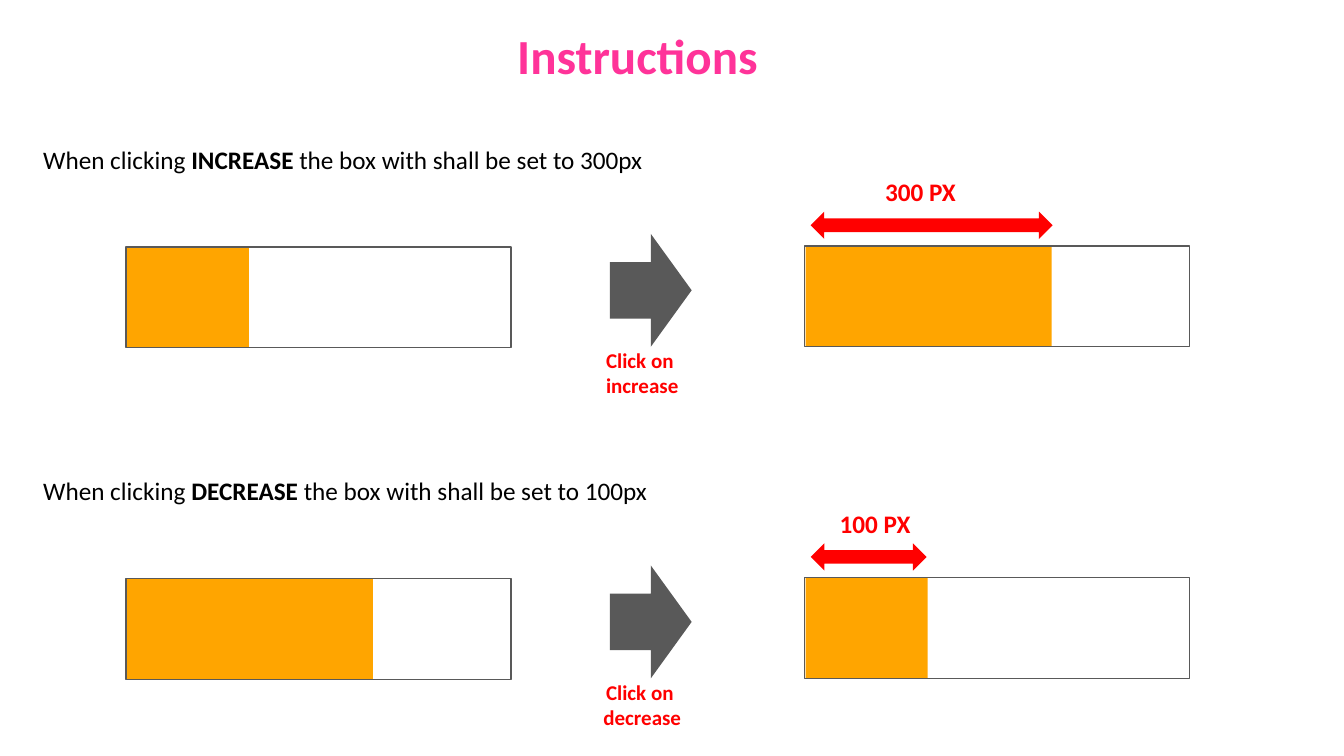
import pptx
import pptx.dml.color
import pptx.enum.shapes
import pptx.enum.text
import pptx.util

Inches = pptx.util.Inches
SHAPE = pptx.enum.shapes.MSO_SHAPE
ALIGN = pptx.enum.text.PP_ALIGN
ANCHOR = pptx.enum.text.MSO_ANCHOR

PINK, RED, ORANGE, GRAY, BLACK = "FF3399", "FF0000", "FFA500", "595959", "000000"
TITLE = "Instructions"
# Box widths are in inches; label_left is the left edge of the pixel label.
STEPS = [
    dict(sentence=[("When clicking ", False), ("INCREASE", True),
                   (" the box with shall be set to 300px", False)],
         click=["Click on ", "increase"], before=1.21, after=2.44,
         size="300 PX", span=2.4, label_left=8.68),
    dict(sentence=[("When clicking ", False), ("DECREASE ", True),
                   ("the box with shall be set to 100px", False)],
         click=["Click on ", "decrease"], before=2.44, after=1.21,
         size="100 PX", span=1.15, label_left=8.23),
]
STEP_TOP, STEP_PITCH = 1.38, 3.29
FRAME_WIDTH, FRAME_HEIGHT = 3.82, 1
BEFORE_LEFT, AFTER_LEFT = 1.25, 7.98


def color(value):
    return pptx.dml.color.RGBColor.from_string(value)


def place(shape, left, top, width, height):
    shape.left, shape.top = Inches(left), Inches(top)
    shape.width, shape.height = Inches(width), Inches(height)


def write(frame, paragraphs, size, hue, align=ALIGN.LEFT, wrap=True):
    """Fill a text frame; each paragraph is a list of (text, bold) runs."""
    frame.word_wrap = wrap
    frame.vertical_anchor = ANCHOR.TOP
    for number, runs in enumerate(paragraphs):
        paragraph = frame.add_paragraph() if number else frame.paragraphs[0]
        paragraph.alignment = align
        for text, bold in runs:
            run = paragraph.add_run()
            run.text = text
            run.font.name = "Calibri"
            run.font.size = pptx.util.Pt(size)
            run.font.bold = bold
            run.font.color.rgb = color(hue)


def add_text(slide, box, *args, **options):
    text = slide.shapes.add_textbox(*map(Inches, box))
    write(text.text_frame, *args, **options)


def add_figure(slide, kind, box, fill=None, line=None):
    figure = slide.shapes.add_shape(kind, *map(Inches, box))
    figure.shadow.inherit = False
    if fill:
        figure.fill.solid()
        figure.fill.fore_color.rgb = color(fill)
    else:
        figure.fill.background()
    if line:
        figure.line.color.rgb = color(line)
        figure.line.width = pptx.util.Pt(1)
    else:
        figure.line.fill.background()


def add_bar(slide, left, top, filled):
    add_figure(slide, SHAPE.RECTANGLE, (left + 0.01, top, filled, FRAME_HEIGHT), fill=ORANGE)
    add_figure(slide, SHAPE.RECTANGLE, (left, top, FRAME_WIDTH, FRAME_HEIGHT), line=GRAY)


def add_step(slide, step, top):
    add_text(slide, (0.33, top, 6.25, 0.4), [step["sentence"]], 18, BLACK)
    add_text(slide, (5.88, top + 2.02, 0.98, 0.61),
             [[(line, True)] for line in step["click"]], 15, RED,
             align=ALIGN.CENTER, wrap=False)
    add_bar(slide, BEFORE_LEFT, top + 1.07, step["before"])
    add_figure(slide, SHAPE.RIGHT_ARROW, (6.05, top + 0.94, 0.81, 1.12), fill=GRAY)
    add_bar(slide, AFTER_LEFT, top + 1.06, step["after"])
    add_figure(slide, SHAPE.LEFT_RIGHT_ARROW, (8.04, top + 0.72, step["span"], 0.27), fill=RED)
    add_text(slide, (step["label_left"], top + 0.32, 0.91, 0.4),
             [[(step["size"], True)]], 18, RED, wrap=False)


def main():
    deck = pptx.Presentation()
    deck.slide_width, deck.slide_height = Inches(13.33), Inches(7.5)
    slide = deck.slides.add_slide(deck.slide_layouts[5])
    place(slide.shapes.title, 5.03, 0.2, 2.68, 0.69)
    write(slide.shapes.title.text_frame, [[(TITLE, True)]], 35, PINK)
    for number, step in enumerate(STEPS):
        add_step(slide, step, STEP_TOP + number * STEP_PITCH)
    deck.save("out.pptx")


if __name__ == "__main__":
    main()
